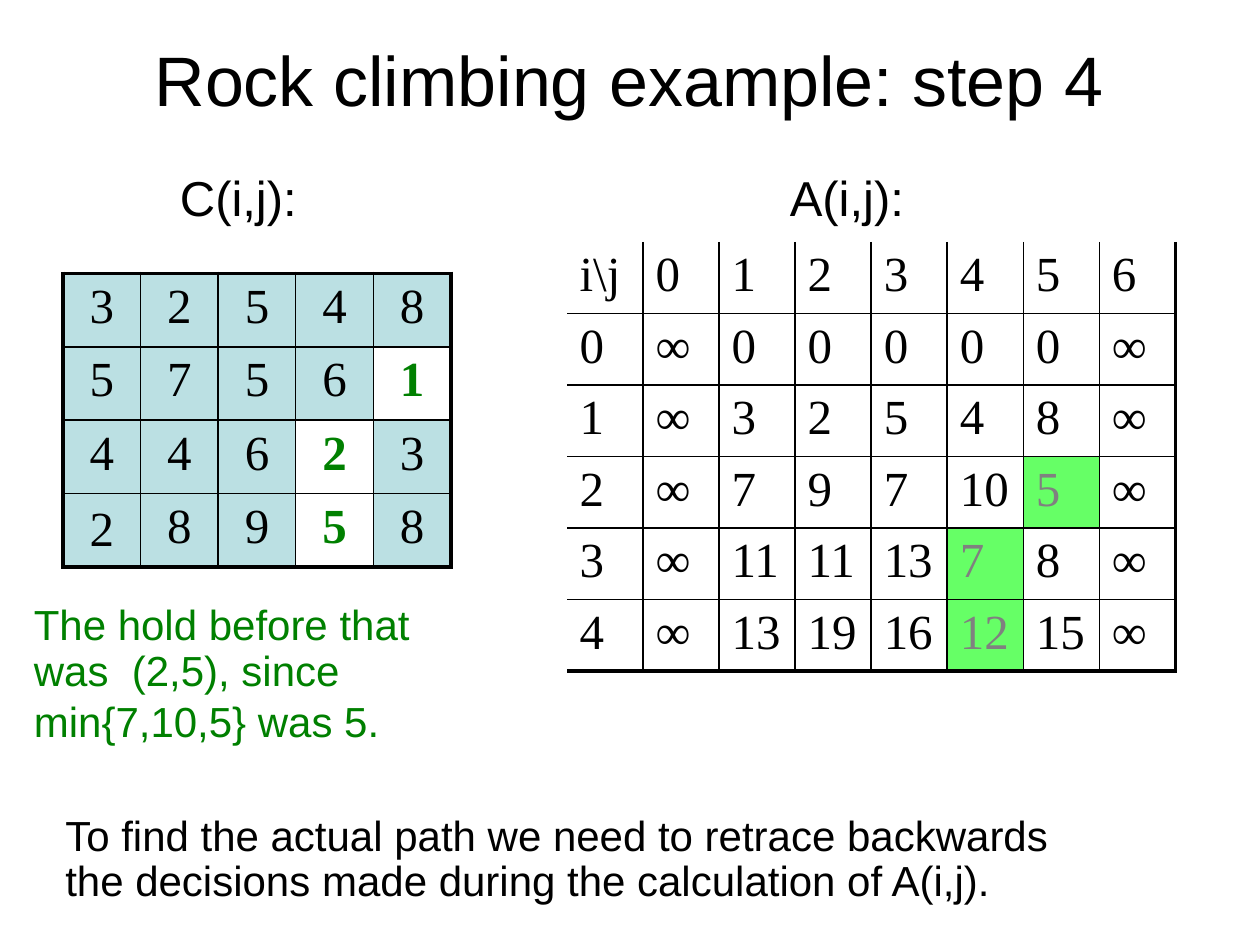
from lxml import etree
from pptx import Presentation
from pptx import util as u
from pptx.dml import color
from pptx.enum import text
from pptx.oxml import ns

COLORS = {"black": "000000", "green": "008000", "lime": "66FF66",
          "gray": "808080", "teal": "BBE0E3", "white": "FFFFFF"}
NO_TABLE_STYLE = "{2D5ABB26-0587-4C30-8999-92F81FD0307C}"
THICK, THIN = 2.25, 1

COSTS = ["3 2 5 4 8", "5 7 5 6 1", "4 4 6 2 3", "2 8 9 5 8"]
COST_PATH = {(1, 4), (2, 3), (3, 3)}
TOTALS = [r"i\j 0 1 2 3 4 5 6", "0 ∞ 0 0 0 0 0 ∞", "1 ∞ 3 2 5 4 8 ∞",
          "2 ∞ 7 9 7 10 5 ∞", "3 ∞ 11 11 13 7 8 ∞", "4 ∞ 13 19 16 12 15 ∞"]
TOTAL_PATH = {(3, 6), (4, 5), (5, 5)}


class SlideBuilder:
    body_font = "Arial"
    table_font = "Times New Roman"

    def __init__(self, presentation):
        self.slide = presentation.slides.add_slide(presentation.slide_layouts[5])

    def run(self, paragraph, words, size, ink="black", font=None, bold=False):
        run = paragraph.add_run()
        run.text = words
        run.font.size = u.Pt(size)
        run.font.name = font or self.body_font
        run.font.bold = bold
        run.font.color.rgb = color.RGBColor.from_string(COLORS[ink])

    def title(self, words, left, top, width, height):
        shape = self.slide.shapes.title
        shape.left, shape.top = u.Inches(left), u.Inches(top)
        shape.width, shape.height = u.Inches(width), u.Inches(height)
        shape.text_frame.vertical_anchor = text.MSO_ANCHOR.MIDDLE
        paragraph = shape.text_frame.paragraphs[0]
        paragraph.alignment = text.PP_ALIGN.CENTER
        self.run(paragraph, words, 40)

    def text_box(self, lines, left, top, width, height, size=24, ink="black", wrap=True):
        shape = self.slide.shapes.add_textbox(
            u.Inches(left), u.Inches(top), u.Inches(width), u.Inches(height))
        frame = shape.text_frame
        frame.word_wrap = wrap
        frame.auto_size = text.MSO_AUTO_SIZE.SHAPE_TO_FIT_TEXT
        for index, line in enumerate(lines):
            paragraph = frame.add_paragraph() if index else frame.paragraphs[0]
            paragraph.line_spacing = 0.9
            self.run(paragraph, line, size, ink)
        return shape

    def border(self, cell, side, width):
        properties = cell._tc.get_or_add_tcPr()
        line = etree.SubElement(properties, ns.qn(f"a:ln{side}"), w=str(u.Pt(width)))
        fill = etree.SubElement(line, ns.qn("a:solidFill"))
        etree.SubElement(fill, ns.qn("a:srgbClr"), val=COLORS["black"])

    def table(self, rows, left, top, width, height, outer, path, plain, marked,
              bold_path=False, alignment=text.PP_ALIGN.LEFT):
        values = [row.split() for row in rows]
        row_count, column_count = len(values), len(values[0])
        table = self.slide.shapes.add_table(
            row_count, column_count, u.Inches(left), u.Inches(top),
            u.Inches(width), u.Inches(height)).table
        table.first_row = table.horz_banding = False
        table._tbl.tblPr.find(ns.qn("a:tableStyleId")).text = NO_TABLE_STYLE
        for r, row in enumerate(values):
            for c, value in enumerate(row):
                cell = table.cell(r, c)
                on_edge = {"L": c == 0, "R": c == column_count - 1,
                           "T": r == 0, "B": r == row_count - 1}
                for side, is_outer in on_edge.items():
                    line_width = outer.get(side) if is_outer else THIN
                    if line_width:
                        self.border(cell, side, line_width)
                on_path = (r, c) in path
                fill, ink = marked if on_path else plain
                if fill:
                    cell.fill.solid()
                    cell.fill.fore_color.rgb = color.RGBColor.from_string(COLORS[fill])
                else:
                    cell.fill.background()
                paragraph = cell.text_frame.paragraphs[0]
                paragraph.alignment = alignment
                self.run(paragraph, value, 28, ink, self.table_font, on_path and bold_path)
        return table


def main():
    presentation = Presentation()
    presentation.slide_width, presentation.slide_height = u.Inches(10), u.Inches(7.5)
    builder = SlideBuilder(presentation)

    builder.title("Rock climbing example: step 4", 0.74, 0, 8.5, 1.25)
    costs = builder.table(
        COSTS, 0.5, 2.17, 3.08, 2.33, dict.fromkeys("LRTB", THICK), COST_PATH,
        ("teal", "black"), ("white", "green"), True, text.PP_ALIGN.CENTER)
    costs.cell(3, 0).vertical_anchor = text.MSO_ANCHOR.MIDDLE
    builder.text_box(["C(i,j):"], 1.33, 1.33, 1.14, 0.52, size=28, wrap=False)
    builder.text_box(["A(i,j):"], 6.17, 1.33, 1.16, 0.52, size=28, wrap=False)
    builder.text_box(["To find the actual path we need to retrace backwards",
                      "the decisions made during the calculation of A(i,j)."],
                     0.42, 6.42, 8.76, 0.82)
    builder.table(TOTALS, 4.5, 1.92, 4.83, 3.4, {"R": THICK, "B": THICK}, TOTAL_PATH,
                  (None, "black"), ("lime", "gray"))
    hold = builder.text_box(["The hold before that", "was  (2,5), since", "min{7,10,5} was 5."],
                            0.17, 4.75, 4.08, 1.24, ink="green")
    builder.run(hold.text_frame.paragraphs[-1], " ", 28, "lime")

    presentation.save("out.pptx")


if __name__ == "__main__":
    main()
